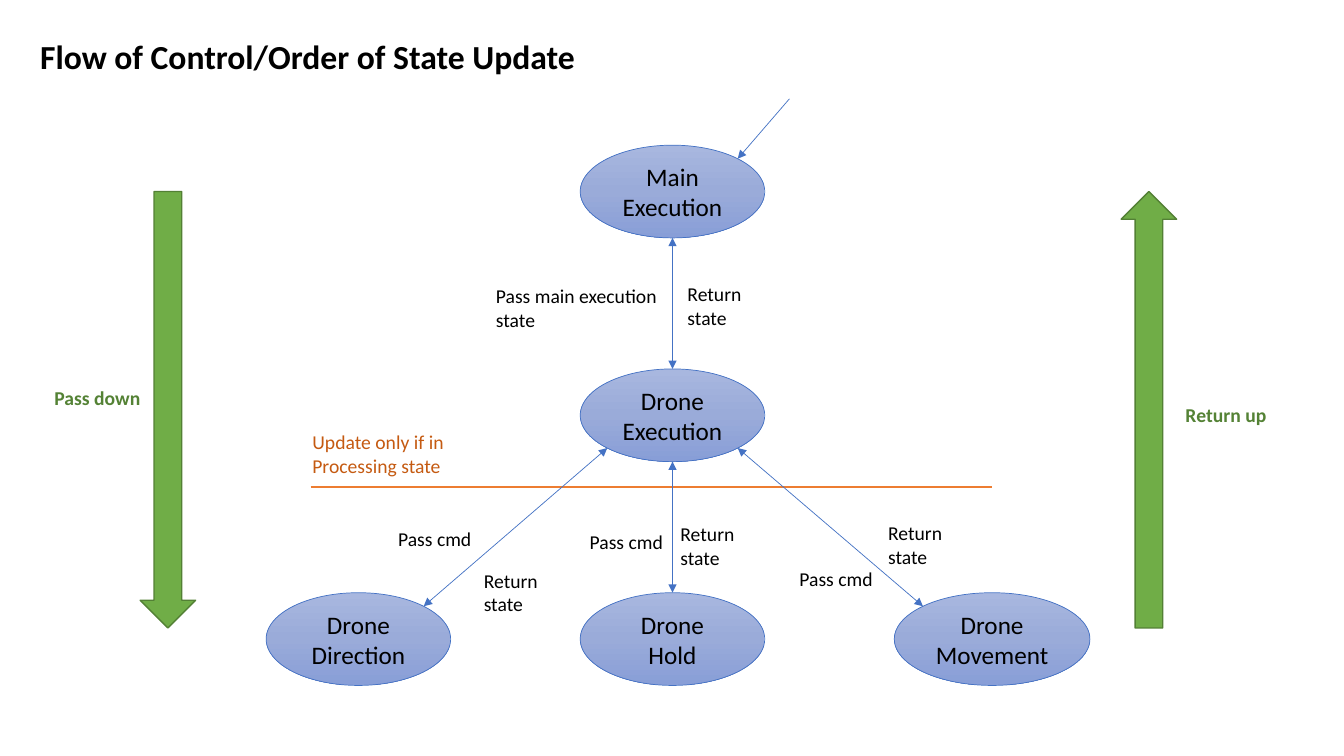
from copy import deepcopy

from pptx import Presentation
from pptx.dml.color import RGBColor
from pptx.enum.shapes import MSO_CONNECTOR, MSO_SHAPE
from pptx.enum.text import MSO_ANCHOR, MSO_AUTO_SIZE, PP_ALIGN
from pptx.oxml.ns import qn
from pptx.util import Emu, Pt

PX = 9144
BLACK, BLUE, ORANGE, RUST = "000000", "4472C4", "ED7D31", "C55A11"
GREEN, GREEN_EDGE, GREEN_TEXT = "70AD47", "538035", "548235"
GRADIENT = [(0, "A8B7DF"), (0.5, "9AABD9"), (1, "889ED7")]
NODE_W, NODE_H = 183, 92
DIAGONAL = 0.5 ** 0.5


def px(*lengths):
    """Turn px lengths into EMU."""
    return [Emu(round(n * PX)) for n in lengths]


def rgb(hex_text):
    """Turn a hex string into a colour."""
    return RGBColor.from_string(hex_text)


def write(tf, text, color=BLACK, **font):
    """Fill a text frame with one formatted run."""
    r = tf.paragraphs[0].add_run()
    r.text = text
    r.font.color.rgb = rgb(color)
    for name, value in {"name": "Calibri", "size": Pt(14), **font}.items():
        setattr(r.font, name, value)


def add_label(s, box, text, color=BLACK, wrap=True, **font):
    """Add a text box."""
    tf = s.shapes.add_textbox(*px(*box)).text_frame
    tf.word_wrap = wrap
    tf.auto_size = MSO_AUTO_SIZE.SHAPE_TO_FIT_TEXT
    write(tf, text, color, **font)


def add_node(s, box, text):
    """Add a gradient ellipse with a centred name."""
    sp = s.shapes.add_shape(MSO_SHAPE.OVAL, *px(*box))
    sp.shadow.inherit = False
    sp.fill.gradient()
    sp.fill.gradient_angle = 270
    stops = sp._element.spPr.find(".//" + qn("a:gsLst"))
    stops.insert(1, deepcopy(stops[0]))
    for stop, (position, color) in zip(sp.fill.gradient_stops, GRADIENT):
        stop.position = position
        stop.color.rgb = rgb(color)
    sp.line.color.rgb = rgb(BLUE)
    sp.line.width = Pt(0.5)
    tf = sp.text_frame
    tf.word_wrap = True
    tf.vertical_anchor = MSO_ANCHOR.MIDDLE
    tf.paragraphs[0].alignment = PP_ALIGN.CENTER
    write(tf, text, size=Pt(18))


def add_line(s, start, end, color=BLUE, width=0.5, ends=()):
    """Add a straight line with arrowheads at the named ends."""
    line = s.shapes.add_connector(MSO_CONNECTOR.STRAIGHT, *px(*start, *end))
    line.line.color.rgb = rgb(color)
    line.line.width = Pt(width)
    ln = line.line._get_or_add_ln()
    for end_name in ends:
        ln.append(ln.makeelement(qn(f"a:{end_name}"), {"type": "triangle"}))
    spPr = line._element.spPr
    spPr.append(spPr.makeelement(qn("a:effectLst"), {}))


def rim(box, dx, dy):
    """Find the point of an ellipse at a fraction of its half axes."""
    x, y, w, h = box
    return x + w / 2 * (1 + dx), y + h / 2 * (1 + dy)


def add_tree(s, x, y):
    """Draw the state tree with its links and labels."""
    col, row = 311.5, 222
    main, drone = [(x + col, y + i * row, NODE_W, NODE_H) for i in range(2)]
    direction, hold, movement = [
        (x + i * col, y + 2 * row, w, NODE_H)
        for i, w in enumerate((NODE_W, NODE_W, 194))]
    nodes = [(main, "Main Execution"), (drone, "Drone Execution"),
             (direction, "Drone Direction"), (hold, "Drone Hold"),
             (movement, "Drone Movement")]
    for box, text in nodes:
        add_node(s, box, text)

    add_line(s, (x + 44, y + 339), (x + 720, y + 339), ORANGE, 1.5)
    add_label(s, (x + 36, y + 278, 170, 57),
              "Update only if in Processing state", RUST)
    add_label(s, (x + 218, y + 133, 182, 57), "Pass main execution state")
    for dx, dy in [(121, 374), (311, 377), (519, 414)]:
        add_label(s, (x + dx, y + dy, 98, 34), "Pass cmd")
    for dx, dy in [(408, 131), (206, 415), (401, 369), (607, 368)]:
        add_label(s, (x + dx, y + dy, 80, 57), "Return state")

    links = [(main, drone, 0, 1), (drone, direction, -DIAGONAL, DIAGONAL),
             (drone, hold, 0, 1), (drone, movement, DIAGONAL, DIAGONAL)]
    for upper, lower, dx, dy in links:
        add_line(s, rim(upper, dx, dy), rim(lower, -dx, -dy),
                 ends=("headEnd", "tailEnd"))
    add_line(s, (x + 519, y - 46), rim(main, DIAGONAL, -DIAGONAL),
             ends=("tailEnd",))


def add_side_arrow(s, box, text, dx, dy, rotation=0):
    """Draw a tall block arrow with a label at an offset from it."""
    sp = s.shapes.add_shape(MSO_SHAPE.DOWN_ARROW, *px(*box))
    sp.shadow.inherit = False
    sp.rotation = rotation
    sp.fill.solid()
    sp.fill.fore_color.rgb = rgb(GREEN)
    sp.line.color.rgb = rgb(GREEN_EDGE)
    sp.line.width = Pt(1)
    add_label(s, (box[0] + dx, box[1] + dy, 107, 34), text, GREEN_TEXT,
              bold=True)


def main():
    """Build and save the slide."""
    prs = Presentation()
    prs.slide_width, prs.slide_height = px(1333, 750)
    s = prs.slides.add_slide(prs.slide_layouts[6])
    add_label(s, (30, 31, 556, 50), "Flow of Control/Order of State Update",
              wrap=False, size=Pt(24), bold=True)
    add_tree(s, 264, 144)
    add_side_arrow(s, (139, 190, 55, 433), "Pass down", -95, 188)
    add_side_arrow(s, (1112, 190, 55, 433), "Return up", 54, 205, 180)
    prs.save("out.pptx")


if __name__ == "__main__":
    main()
